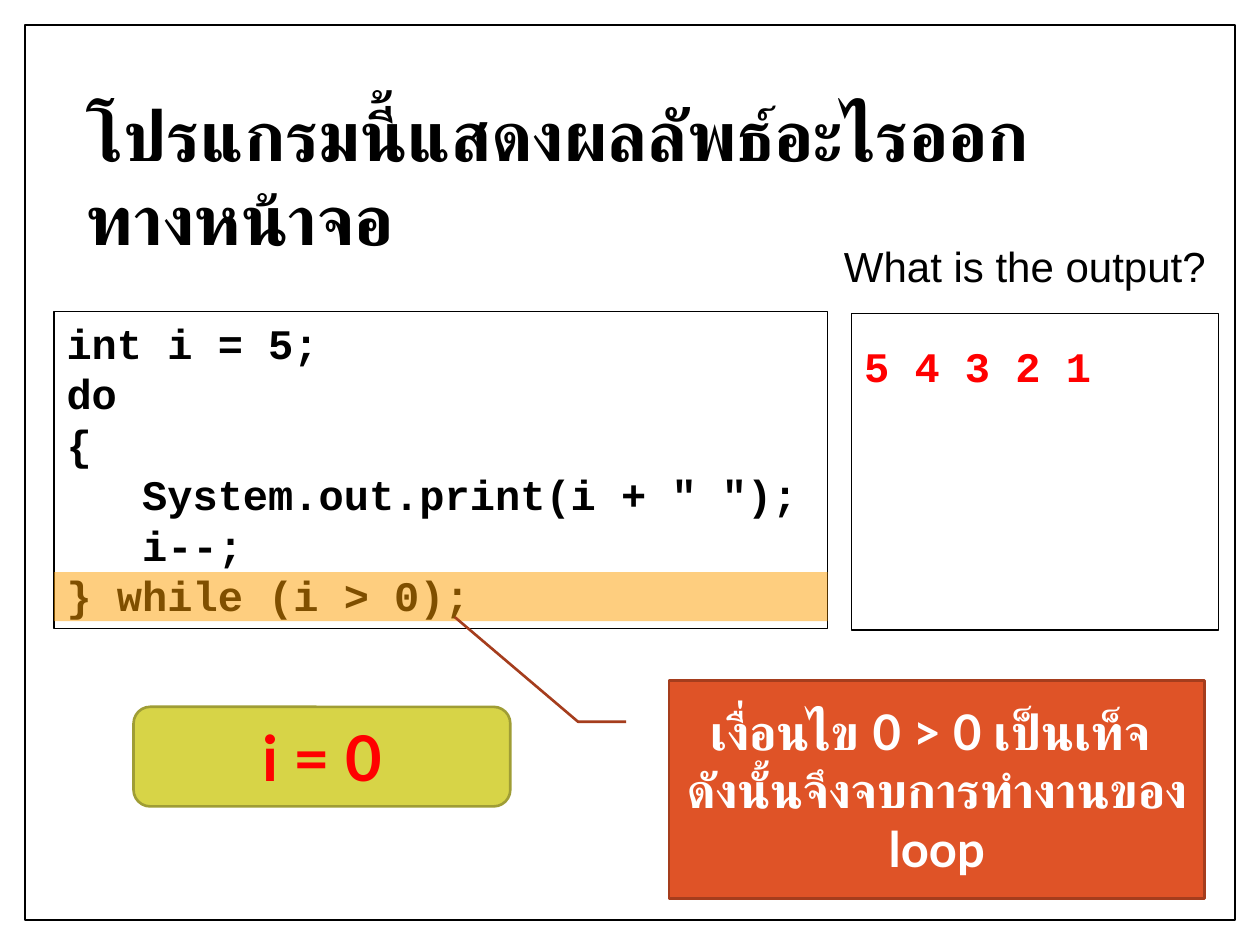
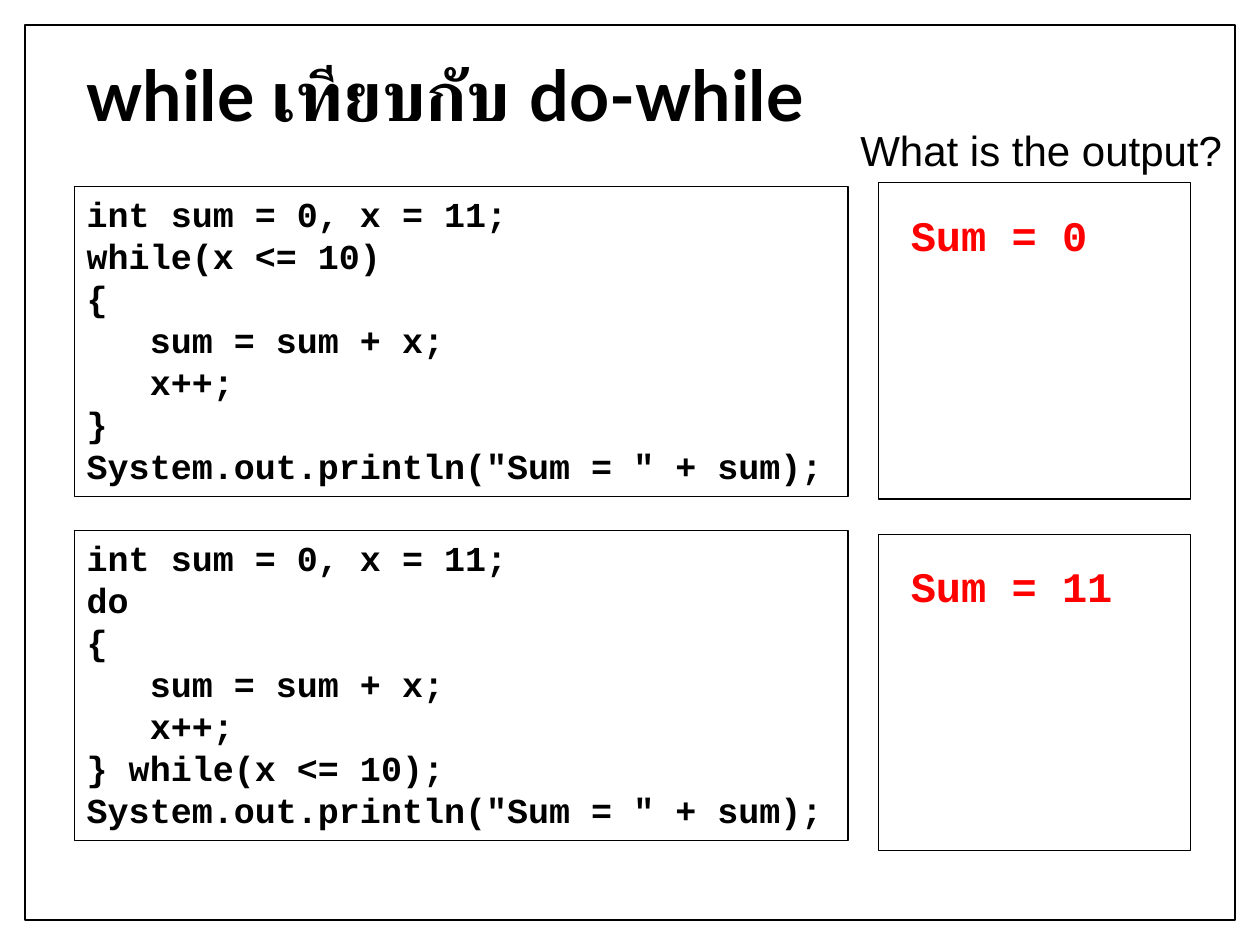
from lxml import etree
from pptx import Presentation
from pptx.dml.color import RGBColor
from pptx.enum.shapes import MSO_SHAPE
from pptx.enum.text import MSO_ANCHOR, PP_ALIGN
from pptx.oxml.ns import qn
from pptx.util import Inches, Pt

RECT = MSO_SHAPE.RECTANGLE
ROUNDED = MSO_SHAPE.ROUNDED_RECTANGLE
CALLOUT = MSO_SHAPE.LINE_CALLOUT_2
CENTER, LEFT = PP_ALIGN.CENTER, PP_ALIGN.LEFT
MIDDLE, TOP = MSO_ANCHOR.MIDDLE, MSO_ANCHOR.TOP

HEAD, CODE, PLAIN = "Lato", "Courier New", "Arial"
BLACK, WHITE, RED = "000000", "FFFFFF", "FF0000"
ORANGE, OLIVE, OLIVE_EDGE = "FE9E00", "D7D447", "9F9D35"
RUST, RUST_EDGE = "DF5327", "A53D1D"
CODE_WIDTH = 6.14

COUNTDOWN = ["int i = 5;", "do", "{", '   System.out.print(i + " ");',
             "   i--;", "} while (i > 0);"]
SUM_START = "int sum = 0, x = 11;"
SUM_BODY = ["{", "   sum = sum + x;", "   x++;"]
SUM_PRINT = 'System.out.println("Sum = " + sum);'
WHILE_SUM = [SUM_START, "while(x <= 10)", *SUM_BODY, "} ", SUM_PRINT]
DO_SUM = [SUM_START, "do", *SUM_BODY, "} while(x <= 10);", SUM_PRINT]


def rgb(color):
    return RGBColor.from_string(color)


def write(shape, paragraphs, size, font, color, bold=True, align=LEFT, anchor=TOP):
    tf = shape.text_frame
    tf.word_wrap = True
    tf.vertical_anchor = anchor
    for i, text in enumerate(paragraphs):
        p = tf.paragraphs[0] if i == 0 else tf.add_paragraph()
        p.alignment = align
        for j, line in enumerate(text.split("\n")):
            if j:
                p.add_line_break()
            r = p.add_run()
            r.text = line
            r.font.size = Pt(size)
            r.font.name = font
            r.font.bold = bold
            r.font.color.rgb = rgb(color)


def add_box(s, box, kind=RECT, fill=None, line=BLACK, width=0.75):
    sp = s.shapes.add_shape(kind, *map(Inches, box))
    sp.shadow.inherit = False
    if fill:
        sp.fill.solid()
        sp.fill.fore_color.rgb = rgb(fill)
    else:
        sp.fill.background()
    if line:
        sp.line.color.rgb = rgb(line)
        sp.line.width = Pt(width)
    else:
        sp.line.fill.background()
    return sp


def add_text(s, box, text, size, font, color=BLACK, bold=True):
    sp = s.shapes.add_textbox(*map(Inches, box))
    write(sp, [text], size, font, color, bold)
    return sp


def add_slide(prs, title, title_top):
    s = prs.slides.add_slide(prs.slide_layouts[6])
    add_box(s, (0.2, 0.2, 9.6, 7.1), fill=WHITE, width=1)
    add_text(s, (0.59, title_top, 7.87, 0.77), title, 40, HEAD)
    return s


def add_question(s, left, top):
    sp = add_text(s, (left, top, 3.24, 0.7), "What is the output?", 24, PLAIN, bold=False)
    p = sp.text_frame.paragraphs[0]
    p.space_before = Pt(4.8)
    pPr = p._p.get_or_add_pPr()
    pPr.set("marL", str(Inches(0.38)))
    pPr.set("indent", str(-Inches(0.38)))


def add_code(s, left, top, height, lines, size):
    sp = add_box(s, (left, top, CODE_WIDTH, height))
    write(sp, lines, size, CODE, BLACK)


def add_output(s, left, top, width, text, inset):
    add_box(s, (left, top, width, 2.51))
    add_text(s, (left + inset, top + 0.16, width - 0.11 - 2 * inset, 0.5), text, 24, CODE, RED)


def add_highlight(s, left, top):
    sp = add_box(s, (left, top, CODE_WIDTH, 0.39), fill=ORANGE, line=None)
    color = sp.fill._xPr.find(qn("a:solidFill"))[0]
    etree.SubElement(color, qn("a:alpha")).set("val", "50000")


def add_callout(s, box, text, tip):
    sp = add_box(s, box, CALLOUT, RUST, RUST_EDGE, 1.5)
    for i, value in enumerate((0.19, -0.08, 0.19, -0.17, *tip)):
        sp.adjustments[i] = value
    write(sp, [text], 28, HEAD, WHITE, align=CENTER, anchor=MIDDLE)


def countdown_slide(prs):
    s = add_slide(prs, "โปรแกรมนี้แสดงผลลัพธ์อะไรออกทางหน้าจอ", 0.68)
    add_question(s, 6.6, 1.86)
    add_code(s, 0.43, 2.47, 2.52, COUNTDOWN, 24)
    add_output(s, 6.76, 2.49, 2.91, "5 4 3 2 1", 0)
    add_highlight(s, 0.43, 4.54)
    state = add_box(s, (1.06, 5.61, 2.99, 0.79), ROUNDED, OLIVE, OLIVE_EDGE, 1.5)
    write(state, ["i = 0"], 36, HEAD, RED, align=CENTER, anchor=MIDDLE)
    add_callout(s, (5.31, 5.4, 4.25, 1.73),
                "เงื่อนไข 0 > 0 เป็นเท็จ \nดังนั้นจึงจบการทำงานของ loop", (-0.29, -0.4))


def comparison_slide(prs):
    s = add_slide(prs, "while เทียบกับ do-while", 0.36)
    examples = ((1.48, 1.45, WHILE_SUM, "Sum = 0"), (4.21, 4.24, DO_SUM, "Sum = 11"))
    for code_top, output_top, lines, result in examples:
        add_code(s, 0.59, code_top, 2.46, lines, 20)
        add_output(s, 6.97, output_top, 2.48, result, 0.16)
    add_question(s, 6.73, 0.94)


def main():
    prs = Presentation()
    prs.slide_width, prs.slide_height = Inches(10), Inches(7.5)
    countdown_slide(prs)
    comparison_slide(prs)
    prs.save("out.pptx")


main()
